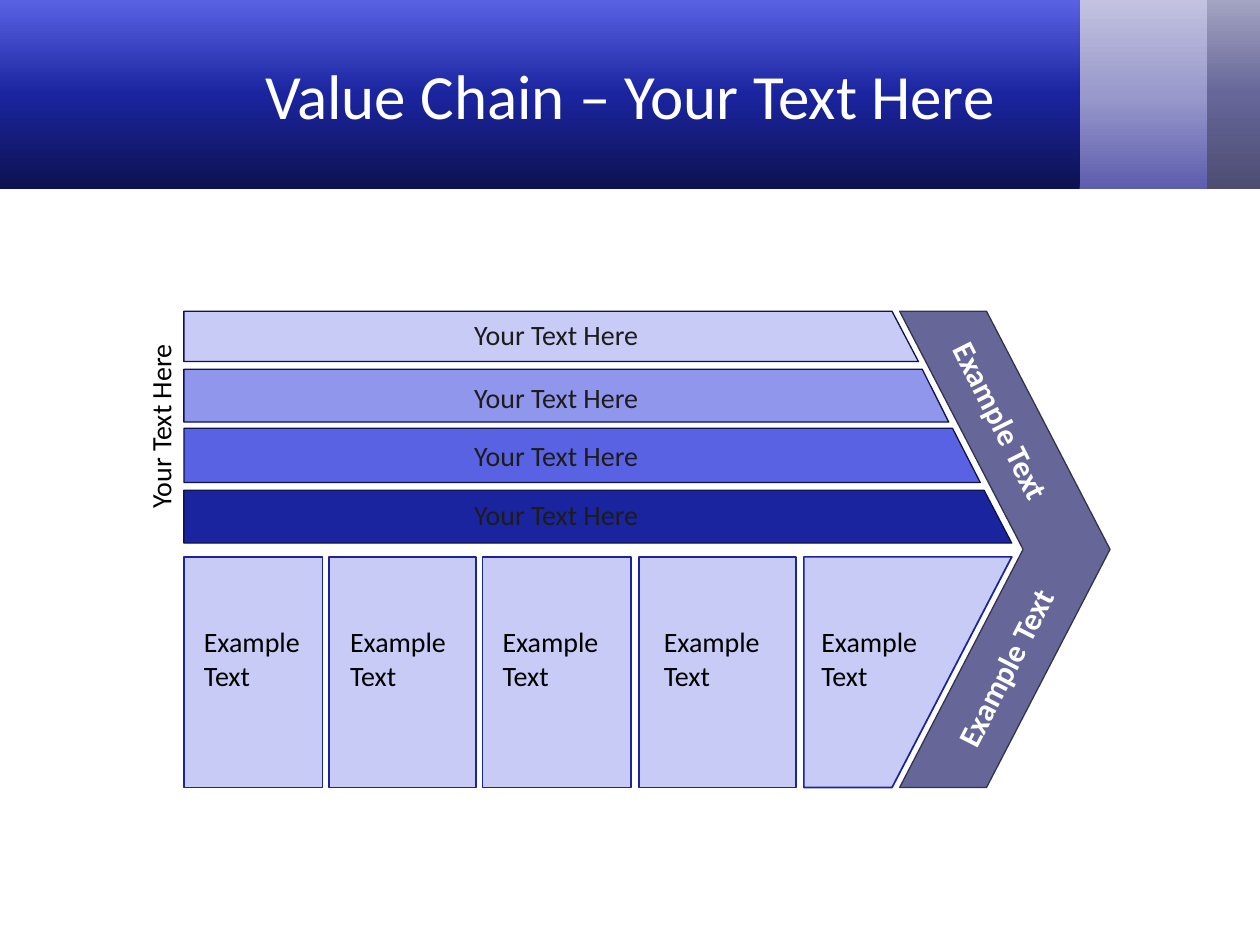
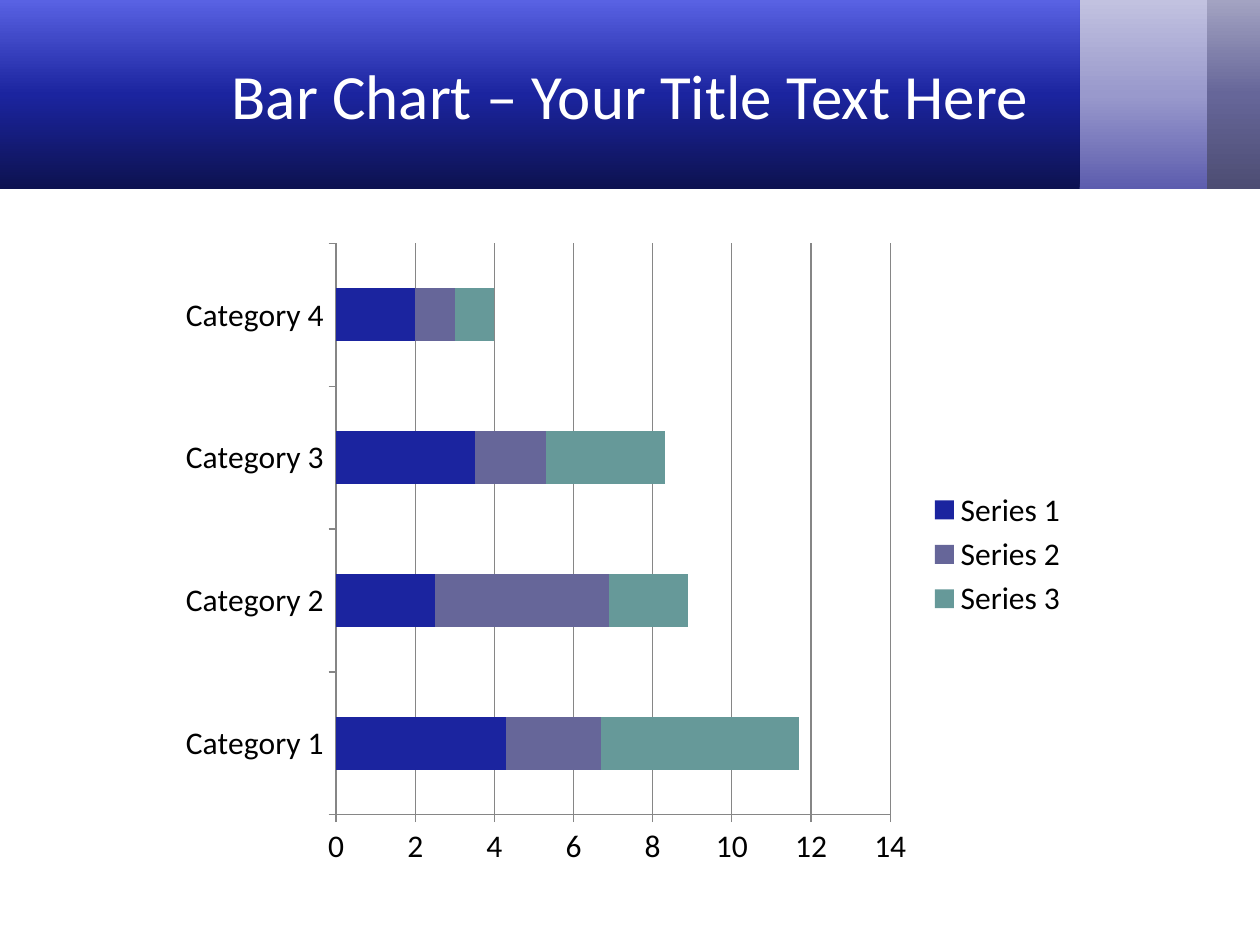
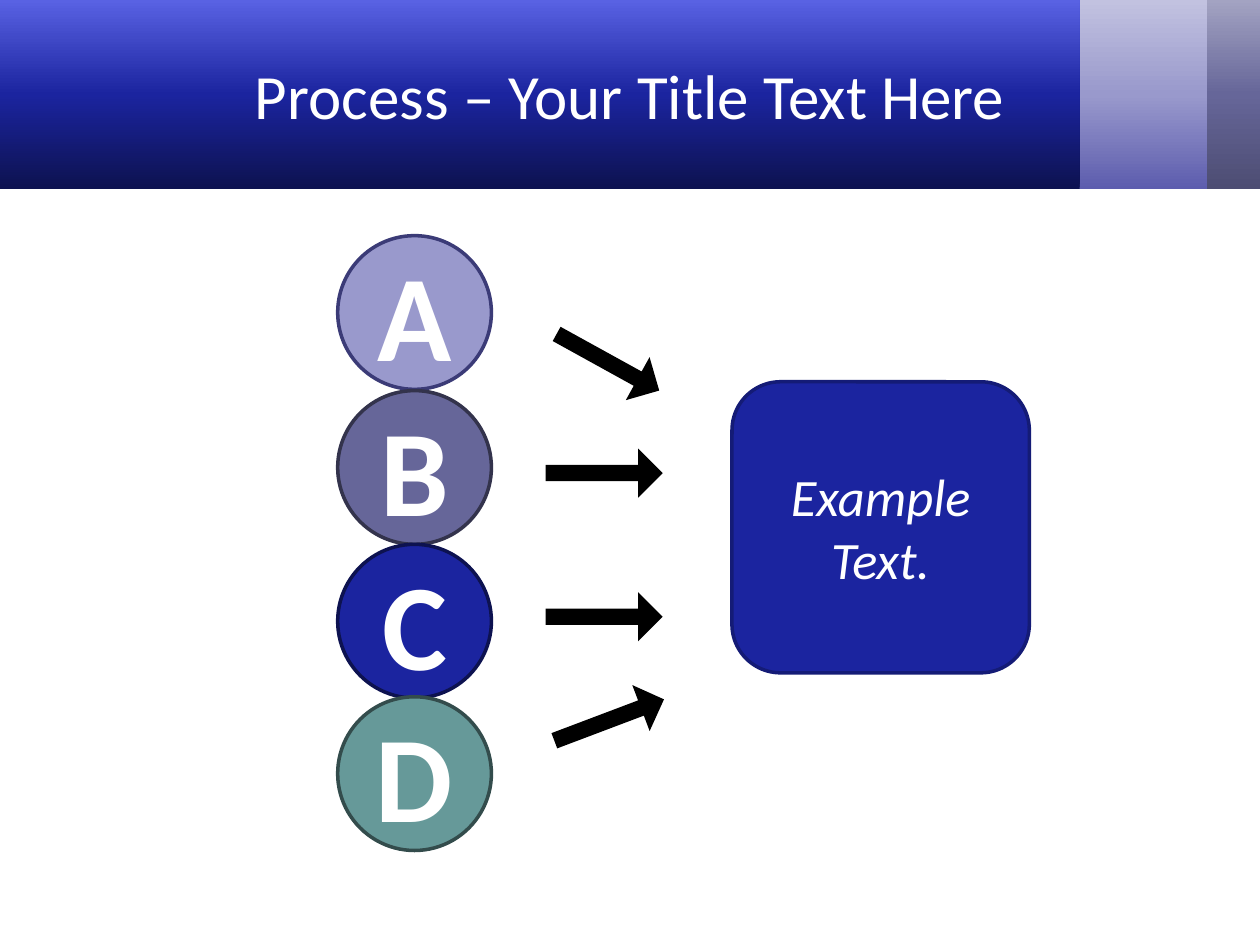
"""Build a three-slide deck: value chain, stacked bar chart and process."""
from copy import deepcopy
from dataclasses import dataclass

from pptx import Presentation
from pptx.chart.data import CategoryChartData
from pptx.dml.color import RGBColor
from pptx.enum.chart import XL_CHART_TYPE as ChartType, XL_LEGEND_POSITION as LegendSide
from pptx.enum.shapes import MSO_SHAPE as Shape
from pptx.enum.text import MSO_ANCHOR as Anchor, MSO_AUTO_SIZE as AutoSize, PP_ALIGN as Align
from pptx.oxml.ns import qn
from pptx.util import Pt


@dataclass(frozen=True)
class Theme:
    font: str = "Calibri"
    white: str = "FFFFFF"
    black: str = "000000"
    ink: str = "1C1C1C"
    navy: str = "0D1250"
    deep_blue: str = "141B76"
    blue: str = "1B249F"
    bright_blue: str = "5962E3"
    soft_blue: str = "9096EC"
    pale_blue: str = "C8CBF6"
    slate: str = "666699"
    dark_slate: str = "33334C"
    lilac: str = "9999CC"
    dark_lilac: str = "3B3B77"
    teal: str = "669999"
    dark_teal: str = "334C4C"
    grid: str = "868686"
    slate_band: tuple = ("4D4D73", "666699", "A3A3C2")
    lilac_band: tuple = ("5D5DAE", "9999CC", "C2C2E0")
    blue_band: tuple = ("0D1250", "1B249F", "5962E3")
    title_size: int = 36
    label_size: int = 16
    arrow_size: int = 18
    chart_size: int = 18
    letter_size: int = 70
    result_size: int = 30


THEME = Theme()
PX = 9144


def paint(shape, fill, line=None, width=1):
    shape.shadow.inherit = False
    shape.fill.solid()
    shape.fill.fore_color.rgb = RGBColor.from_string(fill)
    if line:
        shape.line.color.rgb = RGBColor.from_string(line)
        shape.line.width = Pt(width)
    else:
        shape.line.fill.background()


def write(shape, text, size, color, align=Align.CENTER, bold=False, italic=False):
    shape.text_frame.word_wrap = True
    paragraph = shape.text_frame.paragraphs[0]
    paragraph.alignment = align
    run = paragraph.add_run()
    run.text = text
    run.font.name = THEME.font
    run.font.size = Pt(size)
    run.font.bold = bold
    run.font.italic = italic
    run.font.color.rgb = RGBColor.from_string(color)


deck = Presentation()
deck.slide_width, deck.slide_height = 1000 * PX, 750 * PX
layout = deck.slide_layouts[5]
layout_title = layout.placeholders[0]
layout_title.left, layout_title.top = 50 * PX, 8 * PX
layout_title.width, layout_title.height = 900 * PX, 133 * PX

titles = ("Value Chain – Your Text Here", "Bar Chart – Your Title Text Here",
          "Process – Your Title Text Here")
for title in titles:
    slide = deck.slides.add_slide(layout)
    slide.shapes.title.text_frame.vertical_anchor = Anchor.MIDDLE
    write(slide.shapes.title, title, THEME.title_size, THEME.white)
value_chain, bar_chart, process = (slide.shapes for slide in deck.slides)

header = ((943, 58, THEME.slate_band), (853, 105, THEME.lilac_band), (0, 857, THEME.blue_band))
for index, (left, width, colors) in enumerate(header):
    band = value_chain.add_shape(Shape.RECTANGLE, left * PX, 0, width * PX, 150 * PX)
    band.shadow.inherit = False
    band.line.fill.background()
    band.fill.gradient()
    band.fill.gradient_angle = 90
    stop_list = band.element.spPr.find(qn("a:gradFill")).find(qn("a:gsLst"))
    stop_list.insert(1, deepcopy(stop_list[0]))
    for stop, position, color in zip(band.fill.gradient_stops, (0, 0.5, 1), colors):
        stop.position = position
        stop.color.rgb = RGBColor.from_string(color)
    band.element.nvSpPr.cNvPr.id = 20 + index
    layout.shapes.element.insert(2 + index, band.element)

chain_left, chain_top, chain_bottom = 146, 247, 625
slant_left, slant_right, support_bottom = 708, 803, 431
slope = (slant_right - slant_left) / (support_bottom - chain_top)
outlines = [([(881, 436), (783, chain_top), (714, chain_top), (812, 436),
              (714, chain_bottom), (783, chain_bottom)], THEME.slate, THEME.dark_slate, 0.75)]
support_bars = ((247, 287, THEME.pale_blue), (293, 335, THEME.soft_blue),
                (340, 383, THEME.bright_blue), (389, 431, THEME.blue))
for top, bottom, color in support_bars:
    top_right, bottom_right = (round(slant_left + (y - chain_top) * slope) for y in (top, bottom))
    corners = [(top_right, top), (chain_left, top), (chain_left, bottom), (bottom_right, bottom)]
    outlines.append((corners, color, THEME.navy, 0.75))
activity_top = 442
last_activity = [(slant_right, activity_top), (638, activity_top),
                 (638, chain_bottom), (slant_left, chain_bottom)]
outlines.append((last_activity, THEME.pale_blue, THEME.blue, 1))
for corners, fill, line, width in outlines:
    builder = value_chain.build_freeform(*corners[0], scale=PX)
    builder.add_line_segments(corners[1:], close=True)
    paint(builder.convert_to_shape(), fill, line, width)

for left, width in ((146, 110), (261, 117), (383, 118), (507, 125)):
    activity = value_chain.add_shape(Shape.RECTANGLE, left * PX, activity_top * PX,
                                     width * PX, (chain_bottom - activity_top) * PX)
    paint(activity, THEME.pale_blue, THEME.blue)

labels = [("Your Text Here", (19, 320, 217, 37), 270, THEME.label_size, THEME.black, Align.CENTER),
          ("Example Text", (708, 328, 188, 40), 63.3, THEME.arrow_size, THEME.white, Align.LEFT),
          ("Example Text", (714, 510, 167, 40), 297.1, THEME.arrow_size, THEME.white, Align.CENTER)]
labels += [("Your Text Here", (283, top, 317, 37), 0, THEME.label_size, THEME.ink, Align.CENTER)
           for top in (247, 297, 343, 390)]
labels += [("Example Text", (left, 491, 102, 64), 0, THEME.label_size, THEME.black, Align.LEFT)
           for left in (152, 268, 389, 517, 642)]
for text, place, rotation, size, color, align in labels:
    label = value_chain.add_textbox(*(length * PX for length in place))
    label.rotation = rotation
    write(label, text, size, color, align, bold=color == THEME.white)
    label.text_frame.auto_size = AutoSize.SHAPE_TO_FIT_TEXT

figures = CategoryChartData()
figures.categories = [f"Category {number}" for number in range(1, 5)]
figures.add_series("Series 1", (4.3, 2.5, 3.5, 2))
figures.add_series("Series 2", (2.4, 4.4, 1.8, 1))
figures.add_series("Series 3", (5, 2, 3, 1))
chart = bar_chart.add_chart(ChartType.BAR_STACKED, 133 * PX, 183 * PX,
                            725 * PX, 514 * PX, figures).chart
chart.font.name = THEME.font
chart.font.size = Pt(THEME.chart_size)
chart.font.color.rgb = RGBColor.from_string(THEME.black)
chart.has_title = False
chart.has_legend = True
chart.legend.position = LegendSide.RIGHT
chart.legend.include_in_layout = False
plot = chart.plots[0]
plot.gap_width, plot.overlap, plot.vary_by_categories = 168, 100, False
for series, color in zip(plot.series, (THEME.blue, THEME.slate, THEME.teal)):
    series.format.fill.solid()
    series.format.fill.fore_color.rgb = RGBColor.from_string(color)
values = chart.value_axis
values.minimum_scale, values.maximum_scale, values.major_unit = 0, 14, 2
values.has_major_gridlines = True
for ruled in (values, values.major_gridlines, chart.category_axis):
    ruled.format.line.color.rgb = RGBColor.from_string(THEME.grid)
    ruled.format.line.width = Pt(0.75)

steps = (("A", 187, THEME.lilac, THEME.dark_lilac), ("B", 310, THEME.slate, THEME.dark_slate),
         ("C", 432, THEME.blue, THEME.navy), ("D", 553, THEME.teal, THEME.dark_teal))
for letter, top, fill, line in steps:
    step = process.add_shape(Shape.OVAL, 268 * PX, top * PX, 122 * PX, 122 * PX)
    paint(step, fill, line, 2)
    write(step, letter, THEME.letter_size, THEME.white, bold=True)

result = process.add_shape(Shape.ROUNDED_RECTANGLE, 581 * PX, 303 * PX, 236 * PX, 231 * PX)
paint(result, THEME.blue, THEME.deep_blue, 2)
write(result, "Example Text.", THEME.result_size, THEME.white, italic=True)

for left, top, rotation in ((436, 268, 28.9), (433, 356, 0), (433, 470, 0), (437, 552, 339.3)):
    arrow = process.add_shape(Shape.RIGHT_ARROW, left * PX, top * PX, 93 * PX, 39 * PX)
    arrow.adjustments[0], arrow.adjustments[1] = 0.33, 0.5
    arrow.rotation = rotation
    paint(arrow, THEME.black)

deck.save("out.pptx")
